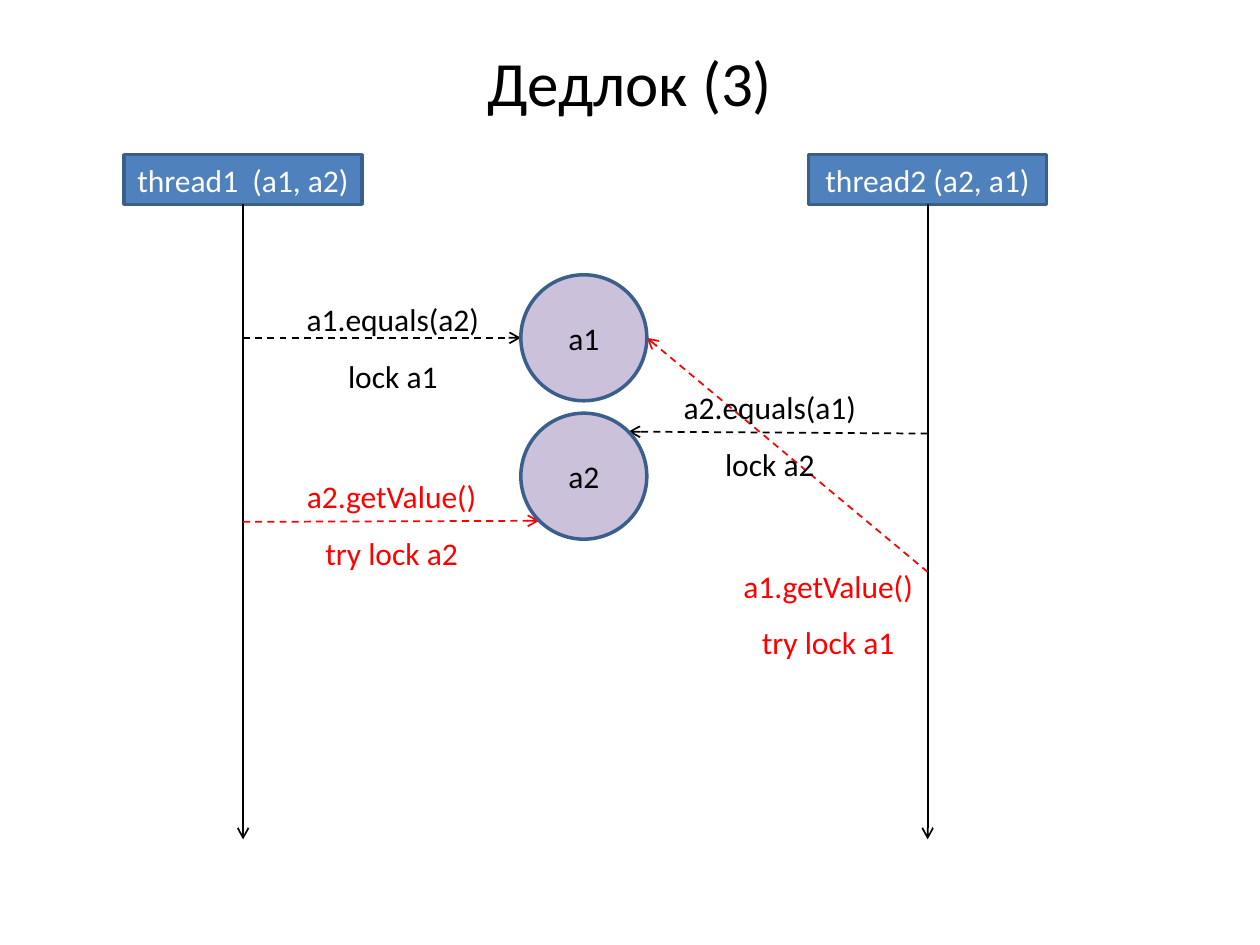
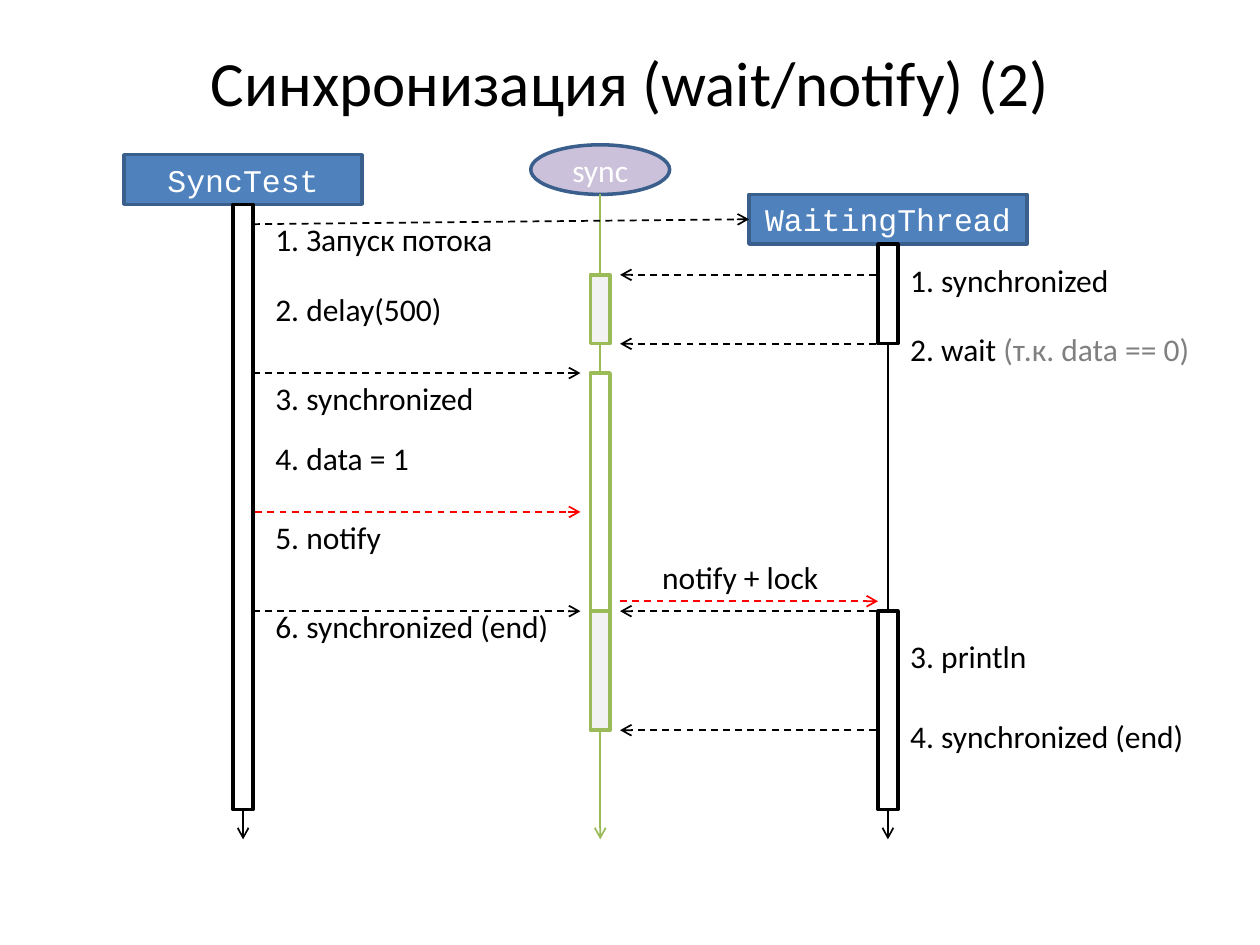
from dataclasses import dataclass

from pptx import Presentation
from pptx.dml.color import RGBColor
from pptx.enum.dml import MSO_LINE
from pptx.enum.shapes import MSO_CONNECTOR, MSO_SHAPE
from pptx.enum.text import MSO_ANCHOR, MSO_AUTO_SIZE, PP_ALIGN
from pptx.oxml.ns import qn
from pptx.oxml.xmlchemy import OxmlElement
from pptx.util import Cm, Pt

RECT, OVAL = MSO_SHAPE.RECTANGLE, MSO_SHAPE.OVAL
STRAIGHT, DASH = MSO_CONNECTOR.STRAIGHT, MSO_LINE.DASH
LEFT, CENTER = PP_ALIGN.LEFT, PP_ALIGN.CENTER
TOP, MIDDLE = MSO_ANCHOR.TOP, MSO_ANCHOR.MIDDLE
GROW = MSO_AUTO_SIZE.SHAPE_TO_FIT_TEXT
SIDE_LEFT, SIDE_BOTTOM = 1, 2


@dataclass(frozen=True)
class Theme:
    black: str = "000000"
    white: str = "FFFFFF"
    red: str = "FF0000"
    gray: str = "808080"
    pale: str = "F2F2F2"
    blue: str = "4F81BD"
    outline: str = "3A5F8C"
    lilac: str = "CCC1DA"
    green: str = "9BBB59"
    font: str = "Calibri"
    code_font: str = "Courier New"
    title_size: int = 36
    body_size: int = 18
    border: int = 2
    thin: int = 1


THEME = Theme()
BLACK, RED = THEME.black, THEME.red

# Shared measures, in centimetres
HEAD_HEIGHT = 1
HEAD_TOP = 3.12
LIFELINE_END = 16.92
BAR_WIDTH = 0.4
HALF_BAR = BAR_WIDTH / 2
NOTE_HEIGHT = 1.02

# Deadlock slide: two threads, two locked objects
THREAD1, THREAD2 = 4.9, 18.7
OBJECT_LEFT, OBJECT_SIZE = 10.5, 2.54
A1_TOP, A2_TOP = 5.54, 8.33
RADIUS = OBJECT_SIZE / 2
OBJECT_X = OBJECT_LEFT + RADIUS
A1_Y, A2_Y = A1_TOP + RADIUS, A2_TOP + RADIUS
DIAGONAL = RADIUS * 0.5 ** 0.5

DEADLOCK = {
    "title": "Дедлок (3)",
    # kind, text, centre, top, width, font, lifeline colour
    "heads": [
        (RECT, "thread1  (a1, a2)", THREAD1, HEAD_TOP, 4.8, THEME.font, BLACK),
        (RECT, "thread2 (a2, a1)", THREAD2, HEAD_TOP, 4.8, THEME.font, BLACK),
    ],
    # from, to, colour, head that the arrow is joined to
    "messages": [
        ((THREAD1, A1_Y), (OBJECT_LEFT, A1_Y), BLACK, None),
        ((THREAD2, 8.74), (OBJECT_X + DIAGONAL, A2_Y - DIAGONAL), BLACK, None),
        ((THREAD1, 10.52), (OBJECT_X - DIAGONAL, A2_Y + DIAGONAL), RED, None),
        ((THREAD2, 11.53), (OBJECT_X + RADIUS, A1_Y), RED, None),
    ],
}
OBJECTS = [("a1", A1_TOP), ("a2", A2_TOP)]
# text, left, top, width, height, colour
CALLS = [
    ("a1.equals(a2)\nlock a1", 5.9, 5.54, 4.04, 2.44, BLACK),
    ("a2.equals(a1)\nlock a2", 13.5, 7.32, 4.04, 2.57, BLACK),
    ("a2.getValue()\ntry lock a2", 5.9, 9.12, 3.99, 2.44, RED),
    ("a1.getValue()\ntry lock a1", 14.7, 10.92, 3.99, 2.57, RED),
]

# Wait/notify slide: main thread, monitor, waiting thread
MAIN, SYNC, WAITING = 4.9, 12.1, 17.9
MAIN_EDGE = MAIN + HALF_BAR
SYNC_LEFT, SYNC_RIGHT = SYNC - BAR_WIDTH, SYNC + BAR_WIDTH

WAIT_NOTIFY = {
    "title": "Синхронизация (wait/notify) (2)",
    "heads": [
        (RECT, "SyncTest", MAIN, HEAD_TOP, 4.8, THEME.code_font, BLACK),
        (RECT, "WaitingThread", WAITING, 3.92, 5.6, THEME.code_font, BLACK),
        (OVAL, "sync", SYNC, 2.92, 2.8, THEME.font, THEME.green),
    ],
    "messages": [
        ((MAIN_EDGE, 4.52), (15.1, 4.42), BLACK, "WaitingThread"),
        ((MAIN_EDGE, 7.52), (SYNC_LEFT, 7.52), BLACK, None),
        ((MAIN, 10.32), (SYNC_LEFT, 10.32), RED, None),
        ((MAIN_EDGE, 12.32), (SYNC_LEFT, 12.32), BLACK, None),
        ((SYNC_RIGHT, 12.12), (WAITING - HALF_BAR, 12.12), RED, None),
    ] + [((WAITING, y), (SYNC_RIGHT, y), BLACK, None)
         for y in (5.54, 6.93, 12.32, 14.72)],
}
# lane, top, bottom, fill, border
BARS = [
    (MAIN, 4.12, 16.32, THEME.white, BLACK),
    (SYNC, 5.54, 6.93, THEME.pale, THEME.green),
    (SYNC, 7.52, 12.32, THEME.white, THEME.green),
    (SYNC, 12.32, 14.72, THEME.pale, THEME.green),
    (WAITING, 4.92, 6.93, THEME.white, BLACK),
    (WAITING, 12.32, 16.32, THEME.white, BLACK),
]
# text, gray remark, top, width; grouped by left edge
NOTES = {
    MAIN + BAR_WIDTH: [
        ("1. Запуск потока", "", 4.32, 4.93),
        ("2. delay(500)", "", 5.72, 3.91),
        ("3. synchronized", "", 7.52, 4.67),
        ("4. data = 1", "", 8.73, 4.67),
        ("5. notify", "", 10.32, 2.67),
        ("6. synchronized (end)", "", 12.12, 6.4),
    ],
    SYNC + 1: [("notify + lock", "", 11.12, 3.71)],
    WAITING + HALF_BAR: [
        ("1. synchronized", "", 5.13, 4.67),
        ("2. wait ", "(т.к. data == 0)", 6.53, 6.8),
        ("3. println", "", 12.72, 4.67),
        ("4. synchronized (end)", "", 14.33, 6.4),
    ],
}


def rgb(color):
    return RGBColor.from_string(color)


def write(shape, text, *, remark="", size=THEME.body_size, font=THEME.font,
          color=BLACK, align=CENTER, anchor=MIDDLE, spacing=None,
          wrap=True, grow=False):
    """Fill a shape with text, one paragraph for each line."""
    frame = shape.text_frame
    frame.word_wrap = wrap
    frame.vertical_anchor = anchor
    if grow:
        frame.auto_size = GROW
    if align == LEFT:
        frame.margin_right = 0
    for number, line in enumerate(text.split("\n")):
        para = frame.add_paragraph() if number else frame.paragraphs[0]
        para.alignment = align
        para.line_spacing = spacing
        for part, tint in ((line, color), (remark, THEME.gray)):
            if part:
                span = para.add_run()
                span.text = part
                span.font.size = Pt(size)
                span.font.name = font
                span.font.color.rgb = rgb(tint)


def add_box(page, kind, left, top, width, height, fill, border):
    box = page.shapes.add_shape(kind, Cm(left), Cm(top), Cm(width), Cm(height))
    box.shadow.inherit = False
    box.fill.solid()
    box.fill.fore_color.rgb = rgb(fill)
    box.line.color.rgb = rgb(border)
    box.line.width = Pt(THEME.border)
    return box


def add_label(page, text, left, top, width, height, **style):
    box = page.shapes.add_textbox(Cm(left), Cm(top), Cm(width), Cm(height))
    write(box, text, **style)


def add_arrow(page, start, end, color, dashed=False):
    points = [Cm(value) for value in (*start, *end)]
    arrow = page.shapes.add_connector(STRAIGHT, *points)
    arrow.line.color.rgb = rgb(color)
    arrow.line.width = Pt(THEME.thin)
    if dashed:
        arrow.line.dash_style = DASH
    properties = arrow.element.spPr
    tip = OxmlElement("a:tailEnd")
    tip.set("type", "arrow")
    properties.find(qn("a:ln")).append(tip)
    properties.append(OxmlElement("a:effectLst"))
    return arrow


def add_diagram(deck, content):
    """Add a page with its title, heads, lifelines and messages."""
    page = deck.slides.add_slide(deck.slide_layouts[6])
    add_label(page, content["title"], 1.27, 0.76, 22.86, 1.75,
              size=THEME.title_size)

    # Heads and their lifelines
    heads = {}
    for kind, text, center, top, width, font, color in content["heads"]:
        fill = THEME.blue if kind == RECT else THEME.lilac
        head = add_box(page, kind, center - width / 2, top, width, HEAD_HEIGHT,
                       fill, THEME.outline)
        write(head, text, font=font, color=THEME.white)
        heads[text] = head
        lifeline = add_arrow(page, (center, top + HEAD_HEIGHT),
                             (center, LIFELINE_END), color)
        if kind == RECT:
            lifeline.begin_connect(head, SIDE_BOTTOM)

    # Messages
    for start, end, color, target in content["messages"]:
        arrow = add_arrow(page, start, end, color, dashed=True)
        if target:
            arrow.end_connect(heads[target], SIDE_LEFT)
    return page


def build_deadlock(deck):
    page = add_diagram(deck, DEADLOCK)
    for name, top in OBJECTS:
        circle = add_box(page, OVAL, OBJECT_LEFT, top, OBJECT_SIZE, OBJECT_SIZE,
                         THEME.lilac, THEME.outline)
        write(circle, name)
    for text, left, top, width, height, color in CALLS:
        add_label(page, text, left, top, width, height, color=color,
                  anchor=TOP, spacing=1.5, wrap=False, grow=True)


def build_wait_notify(deck):
    page = add_diagram(deck, WAIT_NOTIFY)
    for lane, top, bottom, fill, border in BARS:
        add_box(page, RECT, lane - HALF_BAR, top, BAR_WIDTH, bottom - top,
                fill, border)
    for left, notes in NOTES.items():
        for text, remark, top, width in notes:
            add_label(page, text, left, top, width, NOTE_HEIGHT, remark=remark,
                      align=LEFT, anchor=TOP, grow=True)


def main():
    deck = Presentation()
    deck.slide_width, deck.slide_height = Cm(25.4), Cm(19.05)
    build_deadlock(deck)
    build_wait_notify(deck)
    deck.save("out.pptx")


if __name__ == "__main__":
    main()
